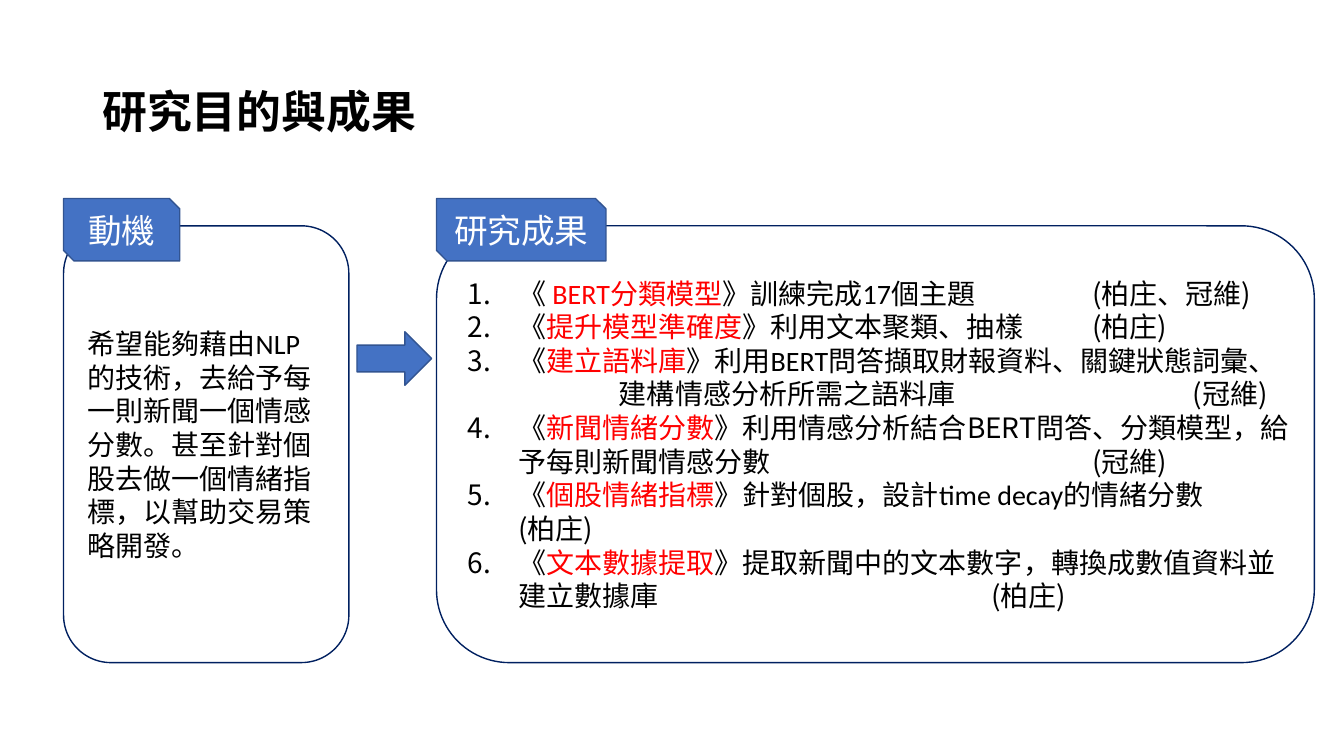
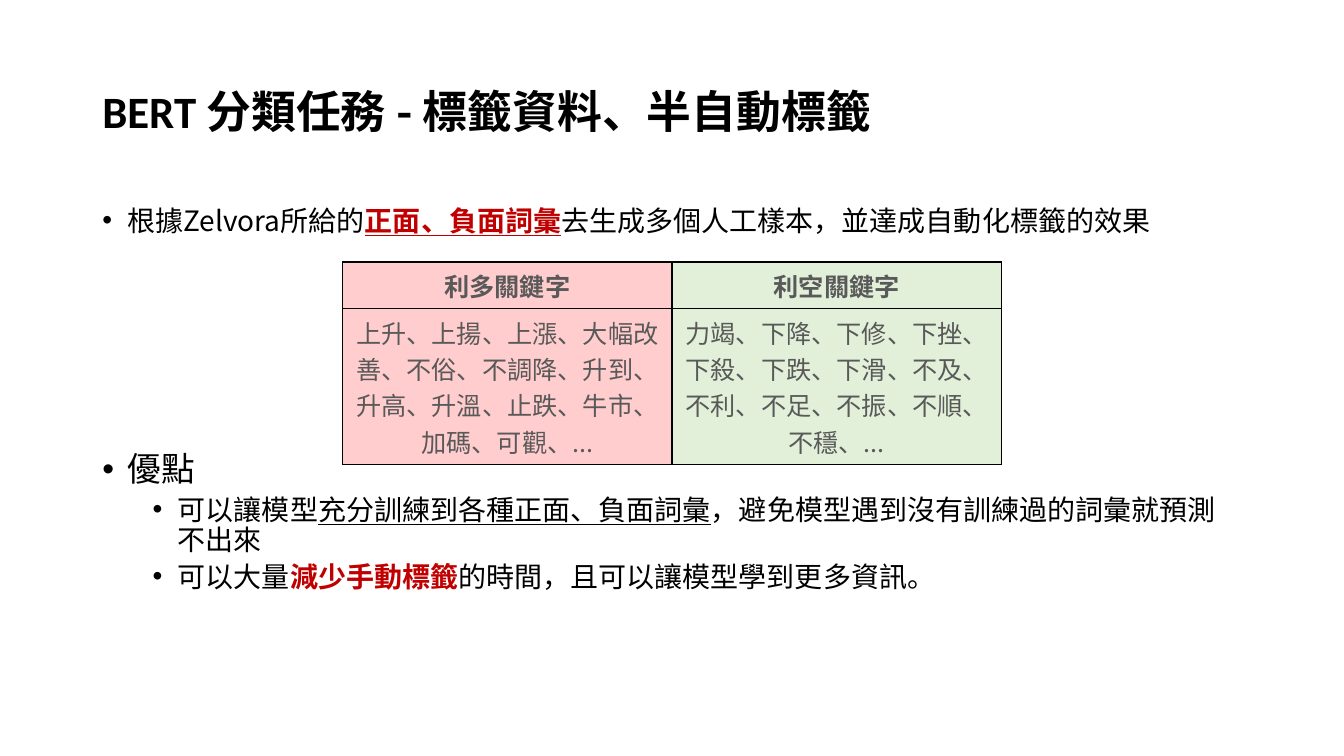
import pptx
import pptx.util
import pptx.dml.color
import pptx.enum.shapes
import pptx.enum.text
import pptx.oxml
import pptx.oxml.ns
from dataclasses import dataclass
from lxml import etree

Pt = pptx.util.Pt
Shape = pptx.enum.shapes.MSO_SHAPE
Align = pptx.enum.text.PP_ALIGN
Anchor = pptx.enum.text.MSO_ANCHOR


@dataclass(frozen=True)
class Theme:
    cjk: str = "Noto Sans CJK SC"
    latin: str = "Calibri"
    black: str = "000000"
    white: str = "FFFFFF"
    red: str = "FF0000"
    dark: str = "C00000"
    blue: str = "4472C4"
    edge: str = "325491"
    navy: str = "002060"
    gray: str = "595959"
    pink: str = "FFCDCD"
    green: str = "E2F0D9"
    title: float = 32
    head: float = 24
    body: float = 20
    cell: float = 18


T = Theme()
LATIN = {"face": T.latin}
RED = {"color": T.red}
MARK = {"color": T.dark, "bold": True}
LINE = {"underline": True}

# A text is a list of runs: plain strings, or (string, style) pairs.
TITLES = [
    ["研究目的與成果"],
    [("BERT ", LATIN), "分類任務 - 標籤資料、半自動標籤"],
]
MOTIVE = [
    "希望能夠藉由", ("NLP", LATIN),
    "的技術，去給予每一則新聞一個情感分數。"
    "甚至針對個股去做一個情緒指標，以幫助交易策略開發。",
]
# Tab stops in points, then the runs
RESULTS = [
    ([446], ["《 ", ("BERT分", {**RED, **LATIN}), ("類模型", RED), "》訓練完成",
             ("17", LATIN), "個主題\t(柏庄、冠維)"]),
    ([446], ["《", ("提升模型準確度", RED), "》利用文本聚類、抽樣\t(柏庄)"]),
    ([108, 518], ["《", ("建立語料庫", RED), "》利用", ("BERT", LATIN),
                  "問答擷取財報資料、關鍵狀態詞彙、", "\n",
                  "\t建構情感分析所需之語料庫\t(冠維)"]),
    ([446], ["《", ("新聞情緒分數", RED),
             "》利用情感分析結合BERT問答、分類模型，給予每則新聞情感分數\t(冠維)"]),
    ([], ["《", ("個股情緒指標", RED), "》針對個股，設計", ("time decay", LATIN),
          "的情緒分數", "\n", "(柏庄)"]),
    ([374], ["《", ("文本數據提取", RED),
             "》提取新聞中的文本數字，轉換成數值資料並建立數據庫\t(柏庄)"]),
]
# Size, line pitch, space before, left indent, runs
POINTS = [
    (T.body, 21.5, 0, 18,
     ["根據Zelvora所給的", ("正面、負面詞彙", {**MARK, **LINE}),
      "去生成多個人工樣本，並達成自動化標籤的效果"]),
    (T.head, 26, 154, 18, ["優點"]),
    (T.body, 21.5, 5, 54,
     ["可以讓模型", ("充分訓練到各種正面、負面詞彙", LINE),
      "，避免模型遇到沒有訓練過的詞彙就預測不出來"]),
    (T.body, 21.5, 5, 54,
     ["可以大量", ("減少手動標籤", MARK), "的時間，且可以讓模型學到更多資訊。"]),
]
WORDS = [
    (T.pink, "利多關鍵字",
     "上升、上揚、上漲、大幅改善、不俗、不調降、升到、升高、升溫、止跌、牛市、加碼、可觀、..."),
    (T.green, "利空關鍵字",
     "力竭、下降、下修、下挫、下殺、下跌、下滑、不及、不利、不足、不振、不順、不穩、..."),
]


def rgb(code):
    return pptx.dml.color.RGBColor.from_string(code)


def node(parent, tag, **attrs):
    return etree.SubElement(parent, pptx.oxml.ns.qn(tag), attrs)


def style(font, face=None, size=None, color=None, bold=None, underline=None):
    if size:
        font.size = Pt(size)
    if color:
        font.color.rgb = rgb(color)
    if bold is not None:
        font.bold = bold
    if underline:
        font.underline = True
    if face:
        font.name = face
        node(font._element, "a:ea", typeface=T.cjk)


def write(para, runs, size, pitch, color=T.black, bold=None, align=None):
    para.line_spacing = Pt(pitch)
    if align is not None:
        para.alignment = align
    style(para.font, T.cjk, size, color, bold)
    for item in runs:
        if item == "\n":
            para.add_line_break()
            continue
        text, look = item if isinstance(item, tuple) else (item, {})
        run = para.add_run()
        run.text = text
        style(run.font, **look)


def bullet(para, left, hang, number=False, tabs=()):
    props = para._p.get_or_add_pPr()
    props.set("marL", str(Pt(left)))
    props.set("indent", str(-Pt(hang)))
    if number:
        node(props, "a:buFont", typeface="+mj-lt")
        node(props, "a:buAutoNum", type="arabicPeriod")
    else:
        node(props, "a:buFont", typeface="Arial")
        node(props, "a:buChar", char="•")
    if tabs:
        stops = node(props, "a:tabLst")
        for pos in tabs:
            node(stops, "a:tab", pos=str(Pt(pos)), algn="l")


def paras(frame, count):
    """Yield the frame's first paragraph, then new ones."""
    yield frame.paragraphs[0]
    for _ in range(count - 1):
        yield frame.add_paragraph()


def area(slide, box, anchor=Anchor.TOP):
    frame = slide.shapes.add_textbox(*map(Pt, box)).text_frame
    frame.word_wrap = True
    frame.vertical_anchor = anchor
    return frame


def block(slide, kind, box, fill, edge):
    shape = slide.shapes.add_shape(kind, *map(Pt, box))
    shape.shadow.inherit = False
    shape.fill.solid()
    shape.fill.fore_color.rgb = rgb(fill)
    shape.line.color.rgb = rgb(edge)
    shape.line.width = Pt(1)
    frame = shape.text_frame
    frame.word_wrap = True
    frame.vertical_anchor = Anchor.MIDDLE
    return frame


def panel(slide, left, width):
    return block(slide, Shape.ROUNDED_RECTANGLE, (left, 161.3, width, 312),
                 T.white, T.navy)


def tag(slide, left, width, text):
    frame = block(slide, Shape.SNIP_2_DIAG_RECTANGLE, (left, 141.8, width, 44.6),
                  T.blue, T.edge)
    write(frame.paragraphs[0], [text], T.head, 29, T.white, align=Align.CENTER)


def page(deck, title):
    slide = deck.slides.add_slide(deck.slide_layouts[6])
    frame = area(slide, (66, 28.8, 828, 104.4), Anchor.MIDDLE)
    write(frame.paragraphs[0], title, T.title, 35, bold=True)
    return slide


def goals(deck):
    slide = page(deck, TITLES[0])
    near, far = 45.4, 311.8
    block(slide, Shape.RIGHT_ARROW, (255, 237, 53.3, 38.2), T.blue, T.edge)

    frame = panel(slide, near, 203.8)
    write(frame.paragraphs[0], MOTIVE, T.body, 24, align=Align.LEFT)

    frame = panel(slide, far, 627)
    frame.margin_right = 0
    for para, (tabs, runs) in zip(paras(frame, len(RESULTS)), RESULTS):
        bullet(para, 36, 36, number=True, tabs=tabs)
        write(para, runs, T.body, 24, align=Align.LEFT)

    tag(slide, near, 83, "動機")
    tag(slide, far, 121, "研究成果")


def border(cell):
    props = cell._tc.get_or_add_tcPr()
    for at, side in enumerate(("a:lnL", "a:lnR", "a:lnT", "a:lnB")):
        line = etree.Element(pptx.oxml.ns.qn(side), w=str(Pt(1)))
        node(node(line, "a:solidFill"), "a:srgbClr", val=T.black)
        props.insert(at, line)


def labels(deck):
    slide = page(deck, TITLES[1])
    frame = area(slide, (66, 144, 828, 342.7))
    for para, (size, pitch, gap, left, runs) in zip(
            paras(frame, len(POINTS)), POINTS):
        bullet(para, left, 18)
        para.space_before = Pt(gap)
        write(para, runs, size, pitch)

    heights = [33.4, 111.4]
    table = slide.shapes.add_table(
        2, len(WORDS), Pt(244.8), Pt(187.2), Pt(470.4), Pt(sum(heights))).table
    for row, high in zip(table.rows, heights):
        row.height = Pt(high)
    for col, (fill, *texts) in enumerate(WORDS):
        for row, text in enumerate(texts):
            cell = table.cell(row, col)
            cell.fill.solid()
            cell.fill.fore_color.rgb = rgb(fill)
            cell.vertical_anchor = Anchor.TOP if row else Anchor.MIDDLE
            write(cell.text_frame.paragraphs[0], [text], T.cell, 26, T.gray,
                  bold=row == 0, align=Align.CENTER)
            border(cell)


def main():
    deck = pptx.Presentation()
    deck.slide_width, deck.slide_height = Pt(960), Pt(540)
    goals(deck)
    labels(deck)
    deck.save("out.pptx")


if __name__ == "__main__":
    main()
